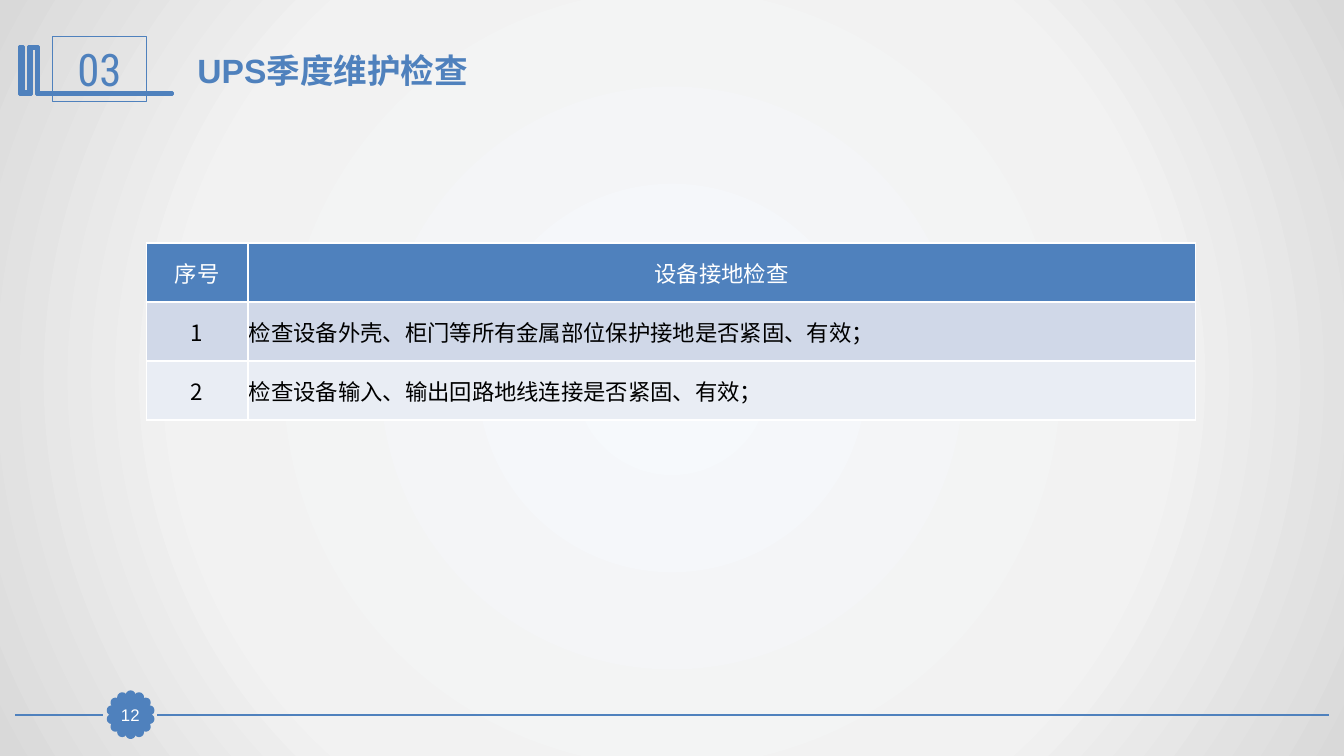
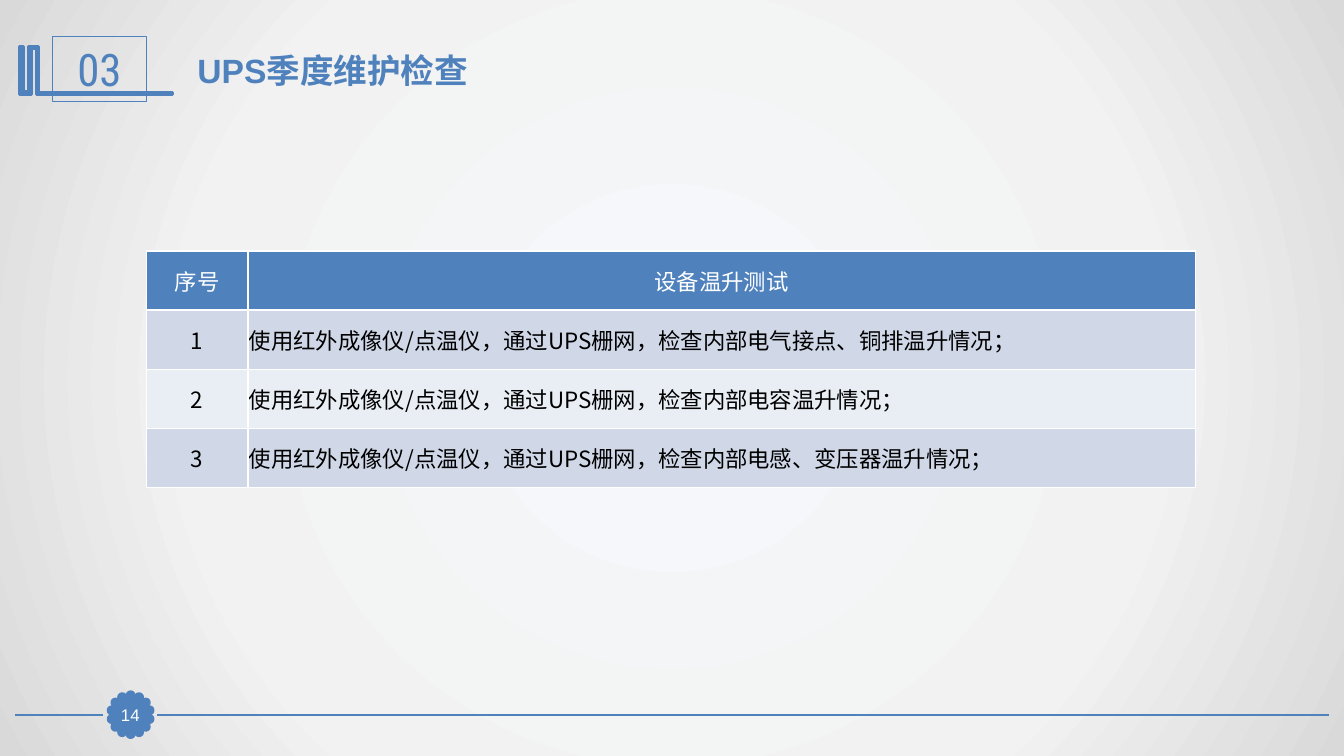
import math
from dataclasses import dataclass

from lxml import etree
from pptx import Presentation
from pptx.dml.color import RGBColor
from pptx.enum.shapes import MSO_CONNECTOR, MSO_SHAPE
from pptx.enum.text import MSO_ANCHOR, PP_ALIGN
from pptx.oxml import parse_xml
from pptx.oxml.ns import qn
from pptx.util import Pt

RECTANGLE = MSO_SHAPE.RECTANGLE
OVAL = MSO_SHAPE.OVAL
STRAIGHT = MSO_CONNECTOR.STRAIGHT
MIDDLE = MSO_ANCHOR.MIDDLE
LEFT = PP_ALIGN.LEFT
CENTER = PP_ALIGN.CENTER

COLORS = {
    "blue": "4F81BD",
    "white": "FFFFFF",
    "black": "000000",
    "band_dark": "D0D8E8",
    "band_light": "E9EDF4",
    "glow": "F6F9FC",
    "haze": "F2F2F2",
    "edge": "D9D9D9",
}
CJK_FONT = "Noto Sans CJK SC"
DRAWING_NS = "http://schemas.openxmlformats.org/drawingml/2006/main"

SECTION = "03"
TITLE = "UPS季度维护检查"
BADGE_X, BADGE_Y = 93.3, 510.5
PETAL_COUNT, PETAL_SIZE, PETAL_ORBIT = 14, 5.2, 13.8
FOOTER_LINES = ((11, 73.5), (112.5, 949))
EMBLEM = (
    (26.6, 33.1), (27.4, 33.1), (27.4, 66.2), (123.1, 66.2), (123.1, 67.7),
    (25.9, 67.7), (25.9, 34.6), (22.3, 34.6), (22.3, 67.7), (13.7, 67.7),
    (13.7, 33.1), (16.6, 33.1), (16.6, 65.5), (20.2, 65.5), (20.2, 33.1),
)
TABLE_LEFT = 104.4
COLUMN_WIDTHS = (72.7, 676.8)
ROW_HEIGHT = 42.2
TEXT_MARGIN = 0.72


@dataclass(frozen=True)
class TextStyle:
    size: float
    font: str
    color: str
    bold: bool = False


@dataclass(frozen=True)
class Checklist:
    number: str
    top: float
    heading: str
    items: tuple[str, ...]


SECTION_STYLE = TextStyle(32, "Roboto Condensed", "blue")
NUMBER_STYLE = TextStyle(12, "Arial", "white")
TITLE_STYLE = TextStyle(24, "Arial", "blue", True)
HEADER_STYLE = TextStyle(16, CJK_FONT, "white")
BODY_STYLE = TextStyle(16, CJK_FONT, "black")

CHECKLISTS = (
    Checklist("12", 173.5, "设备接地检查", (
        "检查设备外壳、柜门等所有金属部位保护接地是否紧固、有效；",
        "检查设备输入、输出回路地线连接是否紧固、有效；",
    )),
    Checklist("14", 179.3, "设备温升测试", (
        "使用红外成像仪/点温仪，通过UPS栅网，检查内部电气接点、铜排温升情况；",
        "使用红外成像仪/点温仪，通过UPS栅网，检查内部电容温升情况；",
        "使用红外成像仪/点温仪，通过UPS栅网，检查内部电感、变压器温升情况；",
    )),
)


def color(name: str) -> RGBColor:
    return RGBColor.from_string(COLORS[name])


def write(frame, text: str, style: TextStyle, align=LEFT) -> None:
    para = frame.paragraphs[0]
    para.alignment = align
    span = para.add_run()
    span.text = text
    span.font.size = Pt(style.size)
    span.font.name = style.font
    span.font.bold = style.bold
    span.font.color.rgb = color(style.color)
    east_asian = etree.Element(qn("a:ea"), typeface=CJK_FONT)
    span.font._element.find(qn("a:latin")).addnext(east_asian)


def paint(shape, fill: str | None, line_width: float) -> None:
    shape.shadow.inherit = False
    if fill:
        shape.fill.solid()
        shape.fill.fore_color.rgb = color(fill)
    else:
        shape.fill.background()
    shape.line.color.rgb = color("blue")
    shape.line.width = Pt(line_width)


def add_box(shapes, kind, left: float, top: float, width: float, height: float,
            fill: str | None, line_width: float):
    box = shapes.add_shape(kind, Pt(left), Pt(top), Pt(width), Pt(height))
    paint(box, fill, line_width)
    return box


def add_footer_line(page, start: float, end: float) -> None:
    line = page.shapes.add_connector(
        STRAIGHT, Pt(start), Pt(BADGE_Y), Pt(end), Pt(BADGE_Y))
    line.line.color.rgb = color("blue")
    line.line.width = Pt(1.25)
    etree.SubElement(line.element.spPr, qn("a:effectLst"))


def add_petals(page) -> None:
    group = page.shapes.add_group_shape()
    for index in range(PETAL_COUNT):
        angle = 2 * math.pi * index / PETAL_COUNT
        left = BADGE_X + PETAL_ORBIT * math.sin(angle) - PETAL_SIZE / 2
        top = BADGE_Y - PETAL_ORBIT * math.cos(angle) - PETAL_SIZE / 2
        add_box(group.shapes, OVAL, left, top, PETAL_SIZE, PETAL_SIZE, "blue", 2)


def add_emblem(page) -> None:
    points = [(Pt(x), Pt(y)) for x, y in EMBLEM]
    builder = page.shapes.build_freeform(*points[0])
    builder.add_line_segments(points[1:], close=True)
    paint(builder.convert_to_shape(), "blue", 2)


def add_section_box(page) -> None:
    box = add_box(page.shapes, RECTANGLE, 37.4, 26.1, 67.2, 46.2, None, 0.75)
    box.text_frame.vertical_anchor = MIDDLE
    write(box.text_frame, SECTION, SECTION_STYLE, CENTER)


def set_background(master) -> None:
    fill = master.background.fill
    fill.solid()
    stops = "".join(
        f'<a:gs pos="{position * 1000}"><a:srgbClr val="{COLORS[name]}"/></a:gs>'
        for position, name in ((0, "glow"), (63, "haze"), (100, "edge")))
    gradient = parse_xml(
        f'<a:gradFill xmlns:a="{DRAWING_NS}" rotWithShape="1">'
        f'<a:gsLst>{stops}</a:gsLst><a:path path="circle">'
        '<a:fillToRect l="50000" t="50000" r="50000" b="50000"/>'
        '</a:path></a:gradFill>')
    solid = master.element.find(".//" + qn("p:bgPr")).find(qn("a:solidFill"))
    solid.getparent().replace(solid, gradient)


def move_to_layout(page, layout) -> None:
    tree = layout.shapes.element
    for placeholder in list(layout.placeholders):
        tree.remove(placeholder.element)
    for shape in list(page.shapes):
        tree.append(shape.element)


def build_shared_parts(page, layout) -> None:
    for start, end in FOOTER_LINES:
        add_footer_line(page, start, end)
    add_petals(page)
    add_emblem(page)
    add_section_box(page)
    move_to_layout(page, layout)


def add_page_number(page, number: str) -> None:
    box = add_box(page.shapes, RECTANGLE, 81.6, 499.2, 23, 22.6, "blue", 0.75)
    frame = box.text_frame
    frame.margin_left = frame.margin_right = Pt(0)
    frame.margin_top = frame.margin_bottom = Pt(0)
    frame.vertical_anchor = MIDDLE
    write(frame, number, NUMBER_STYLE, CENTER)


def add_title(page) -> None:
    box = page.shapes.add_textbox(Pt(134), Pt(31.8), Pt(698), Pt(36))
    box.text_frame.word_wrap = True
    write(box.text_frame, TITLE, TITLE_STYLE)


def style_cell(cell, fill: str) -> None:
    properties = cell._tc.get_or_add_tcPr()
    for side in ("lnL", "lnR", "lnT", "lnB"):
        border = etree.SubElement(properties, qn(f"a:{side}"), w=str(Pt(1)))
        paint_node = etree.SubElement(border, qn("a:solidFill"))
        etree.SubElement(paint_node, qn("a:srgbClr"), val=COLORS["white"])
    cell.fill.solid()
    cell.fill.fore_color.rgb = color(fill)
    cell.vertical_anchor = MIDDLE


def add_checklist_table(page, checklist: Checklist) -> None:
    rows = [("序号", checklist.heading)]
    rows += [(str(index), item) for index, item in enumerate(checklist.items, 1)]
    table = page.shapes.add_table(
        len(rows), len(COLUMN_WIDTHS), Pt(TABLE_LEFT), Pt(checklist.top),
        Pt(sum(COLUMN_WIDTHS)), Pt(ROW_HEIGHT * len(rows))).table
    table.first_row = False
    table.horz_banding = False
    for column, width in zip(table.columns, COLUMN_WIDTHS):
        column.width = Pt(width)
    for row_index, texts in enumerate(rows):
        table.rows[row_index].height = Pt(ROW_HEIGHT)
        is_header = row_index == 0
        band = "band_dark" if row_index % 2 else "band_light"
        for column_index, text in enumerate(texts):
            cell = table.cell(row_index, column_index)
            style_cell(cell, "blue" if is_header else band)
            is_item = column_index == 1 and not is_header
            if is_item:
                cell.margin_left = cell.margin_right = Pt(TEXT_MARGIN)
                cell.margin_top, cell.margin_bottom = Pt(TEXT_MARGIN), Pt(0)
            write(cell.text_frame, text,
                  HEADER_STYLE if is_header else BODY_STYLE,
                  LEFT if is_item else CENTER)


def main() -> None:
    deck = Presentation()
    deck.slide_width, deck.slide_height = Pt(960), Pt(540)
    set_background(deck.slide_master)
    blank = deck.slide_layouts[6]
    pages = [deck.slides.add_slide(blank) for _ in CHECKLISTS]
    build_shared_parts(pages[0], blank)
    for page, checklist in zip(pages, CHECKLISTS):
        add_page_number(page, checklist.number)
        add_checklist_table(page, checklist)
        add_title(page)
    deck.save("out.pptx")


if __name__ == "__main__":
    main()
